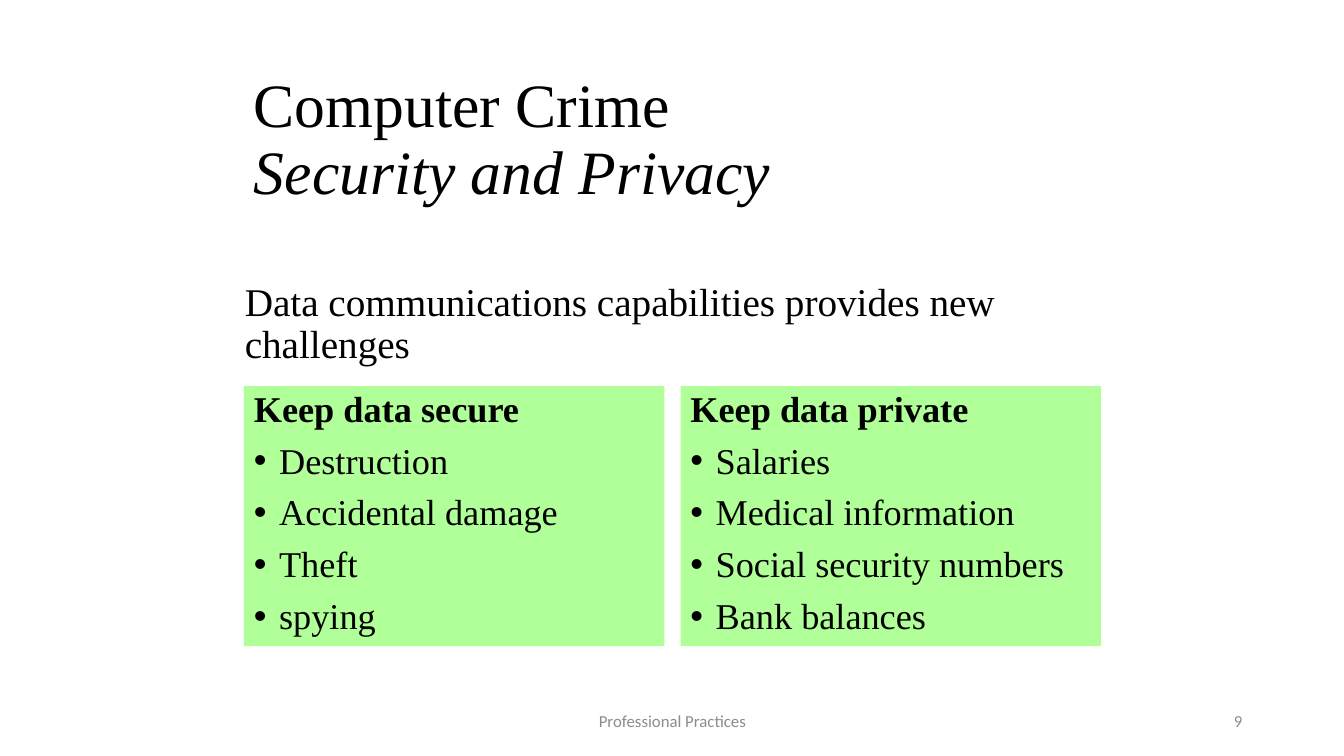
from lxml import etree
from pptx import Presentation
from pptx.dml.color import RGBColor
from pptx.enum.shapes import MSO_SHAPE
from pptx.enum.text import MSO_ANCHOR, PP_ALIGN
from pptx.oxml.ns import qn
from pptx.util import Inches, Pt

COLORS = {"text": "000000", "footer": "8C8C8C", "card": "64FF33"}
SERIF = "Times New Roman"
CARDS = [
    ("Keep data secure", ["Destruction", "Accidental damage", "Theft", "spying"]),
    ("Keep data private", ["Salaries", "Medical information",
                           "Social security numbers", "Bank balances"]),
]
CARD_LEFT, CARD_TOP, CARD_WIDTH, CARD_HEIGHT, CARD_STEP = 2.42, 3.83, 4.17, 2.58, 4.33


def format_runs(paragraph, size, font=SERIF, color="text", bold=False):
    for run in paragraph.runs:
        run.font.name = font
        run.font.size = Pt(size)
        run.font.bold = bold
        run.font.color.rgb = RGBColor.from_string(COLORS[color])


def add_text(slide, text, left, top, width, height, size, font=SERIF, color="text",
             align=PP_ALIGN.LEFT, anchor=MSO_ANCHOR.MIDDLE, line_spacing=1.0):
    box = slide.shapes.add_textbox(Inches(left), Inches(top), Inches(width), Inches(height))
    text_frame = box.text_frame
    text_frame.word_wrap = True
    text_frame.vertical_anchor = anchor
    text_frame.text = text
    paragraph = text_frame.paragraphs[0]
    paragraph.alignment = align
    paragraph.line_spacing = line_spacing
    format_runs(paragraph, size, font, color)
    return paragraph


def set_hanging_indent(paragraph, bullet):
    properties = paragraph._p.get_or_add_pPr()
    properties.set("marL", str(Inches(0.25)))
    properties.set("indent", str(-Inches(0.25)))
    if bullet:
        font = etree.SubElement(properties, qn("a:buFont"))
        font.set("typeface", "Arial")
        etree.SubElement(properties, qn("a:buChar")).set("char", "•")


def add_card(slide, left, heading, items):
    card = slide.shapes.add_shape(MSO_SHAPE.RECTANGLE, Inches(left), Inches(CARD_TOP),
                                  Inches(CARD_WIDTH), Inches(CARD_HEIGHT))
    card.shadow.inherit = False
    card.line.fill.background()
    card.fill.solid()
    card.fill.fore_color.rgb = RGBColor.from_string(COLORS["card"])
    fill_color = card._element.spPr.find(qn("a:solidFill"))[0]
    etree.SubElement(fill_color, qn("a:alpha")).set("val", "50000")

    text_frame = card.text_frame
    text_frame.word_wrap = True
    text_frame.vertical_anchor = MSO_ANCHOR.TOP
    text_frame.text = "\n".join([heading, *items])
    for index, paragraph in enumerate(text_frame.paragraphs):
        is_item = index > 0
        paragraph.alignment = PP_ALIGN.LEFT
        paragraph.line_spacing = 0.9
        paragraph.space_before = Pt(9 if is_item else 0)
        set_hanging_indent(paragraph, bullet=is_item)
        format_runs(paragraph, 25.9, bold=not is_item)


def main():
    presentation = Presentation()
    presentation.slide_width = Inches(13.33)
    presentation.slide_height = Inches(7.5)
    slide = presentation.slides.add_slide(presentation.slide_layouts[6])

    title = add_text(slide, "Computer Crime\vSecurity and Privacy",
                     2.42, 0.5, 8.5, 1.8, 44, line_spacing=0.9)
    title.runs[-1].font.italic = True
    for index, (heading, items) in enumerate(CARDS):
        add_card(slide, CARD_LEFT + index * CARD_STEP, heading, items)
    add_text(slide, "Data communications capabilities provides new challenges",
             2.33, 2.75, 8.58, 0.94, 28, anchor=MSO_ANCHOR.TOP, line_spacing=0.9)
    add_text(slide, "Professional Practices", 4.42, 6.95, 4.5, 0.4, 12,
             "Calibri", "footer", PP_ALIGN.CENTER)
    add_text(slide, "9", 9.42, 6.95, 3, 0.4, 12, "Calibri", "footer", PP_ALIGN.RIGHT)
    presentation.save("out.pptx")


if __name__ == "__main__":
    main()
